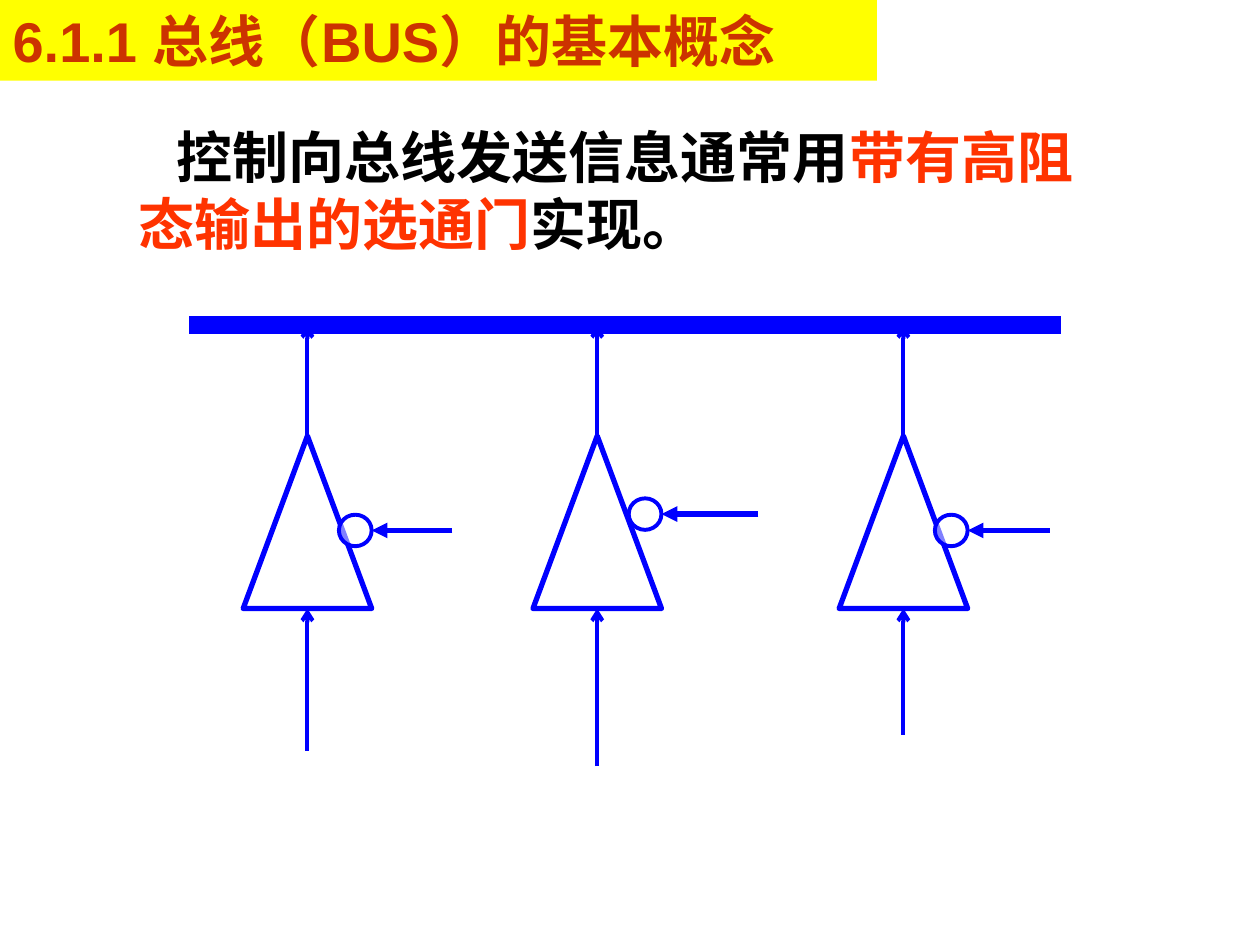
"""Build the slide on gating signals onto a bus with tri-state gates."""
from lxml import etree
from pptx import Presentation, util as u
from pptx.dml.color import RGBColor
from pptx.enum import shapes, text
from pptx.oxml import ns

Inches, Pt = u.Inches, u.Pt
THEME = {
    "blue": RGBColor(0x00, 0x00, 0xFF),
    "white": RGBColor(0xFF, 0xFF, 0xFF),
    "yellow": RGBColor(0xFF, 0xFF, 0x00),
    "title": RGBColor(0xCC, 0x33, 0x00),
    "accent": RGBColor(0xFF, 0x33, 0x00),
    "black": RGBColor(0x00, 0x00, 0x00),
    "latin": "Arial",
    "chinese": "Noto Sans CJK SC",
    "size": Pt(32),
    "bus": Pt(10),
    "thick": Pt(3),
    "thin": Pt(2.25),
}


def add_span(para, words, font, color):
    span = para.add_run()
    span.text = words
    values = {"size": THEME["size"], "bold": True, "name": font}
    for name, value in values.items():
        setattr(span.font, name, value)
    span.font.color.rgb = color
    east_asian = etree.SubElement(span.font._element, ns.qn("a:ea"))
    east_asian.set("typeface", THEME["chinese"])


def add_line(page, start, end, width, arrow=None):
    points = [Inches(value) for value in (*start, *end)]
    line = page.shapes.add_connector(shapes.MSO_CONNECTOR.STRAIGHT, *points)
    line.line.color.rgb = THEME["blue"]
    line.line.width = width
    if arrow:
        outline = line.line._get_or_add_ln()
        etree.SubElement(outline, ns.qn("a:tailEnd")).set("type", arrow)
    etree.SubElement(line._element.spPr, ns.qn("a:effectLst"))


deck = Presentation()
deck.slide_width, deck.slide_height = Inches(10), Inches(7.5)
page = deck.slides.add_slide(deck.slide_layouts[5])

title = page.shapes.title
body = page.shapes.add_textbox(0, 0, 0, 0)
places = [(title, (0, 0, 6.96, 0.64)), (body, (1, 0.92, 7.83, 1.17))]
frame_format = {
    "word_wrap": True,
    "auto_size": text.MSO_AUTO_SIZE.NONE,
    "vertical_anchor": text.MSO_ANCHOR.TOP,
    "margin_left": Inches(0.1),
    "margin_right": Inches(0.1),
    "margin_top": Inches(0.05),
    "margin_bottom": Inches(0.05),
}
for box, place in places:
    for name, value in zip(("left", "top", "width", "height"), place):
        setattr(box, name, Inches(value))
    for name, value in frame_format.items():
        setattr(box.text_frame, name, value)
    box.text_frame.paragraphs[0].alignment = text.PP_ALIGN.LEFT

title.fill.solid()
title.fill.fore_color.rgb = THEME["yellow"]
add_span(title.text_frame.paragraphs[0], "6.1.1 总线（BUS）的基本概念",
         THEME["latin"], THEME["title"])

para = body.text_frame.paragraphs[0]
para._p.get_or_add_pPr().set("indent", str(Inches(0.3)))
for words, color in [("控制向总线发送信息通常用", "black"),
                     ("带有高阻态输出的选通门", "accent"),
                     ("实现。", "black")]:
    add_span(para, words, THEME["chinese"], THEME[color])

bus_y, apex_y, base_y = 2.58, 3.46, 4.83
gate_width, circle_width, circle_height = 1.02, 0.26, 0.25
add_line(page, (1.5, bus_y), (8.42, bus_y), THEME["bus"])

gates = [(2.44, 5.96, 4.21, 3.59), (4.74, 6.08, 4.08, 6.02), (7.17, 5.83, 4.21, 8.33)]
for center, input_y, control_y, control_x in gates:
    circle_right = center + gate_width / 2
    parts = [
        (shapes.MSO_SHAPE.ISOSCELES_TRIANGLE, THEME["thick"],
         (center - gate_width / 2, apex_y, gate_width, base_y - apex_y)),
        (shapes.MSO_SHAPE.OVAL, THEME["thin"],
         (circle_right - circle_width, control_y - circle_height / 2,
          circle_width, circle_height)),
    ]
    for kind, width, place in parts:
        part = page.shapes.add_shape(kind, *[Inches(value) for value in place])
        part.shadow.inherit = False
        part.fill.solid()
        part.fill.fore_color.rgb = THEME["white"]
        fill_color = part._element.spPr.find(".//" + ns.qn("a:srgbClr"))
        etree.SubElement(fill_color, ns.qn("a:alpha")).set("val", "50000")
        part.line.color.rgb = THEME["blue"]
        part.line.width = width
    add_line(page, (center, apex_y), (center, bus_y), THEME["thin"], "arrow")
    add_line(page, (center, input_y), (center, base_y), THEME["thin"], "arrow")
    add_line(page, (control_x, control_y), (circle_right, control_y),
             THEME["thick"], "triangle")

deck.save("out.pptx")
